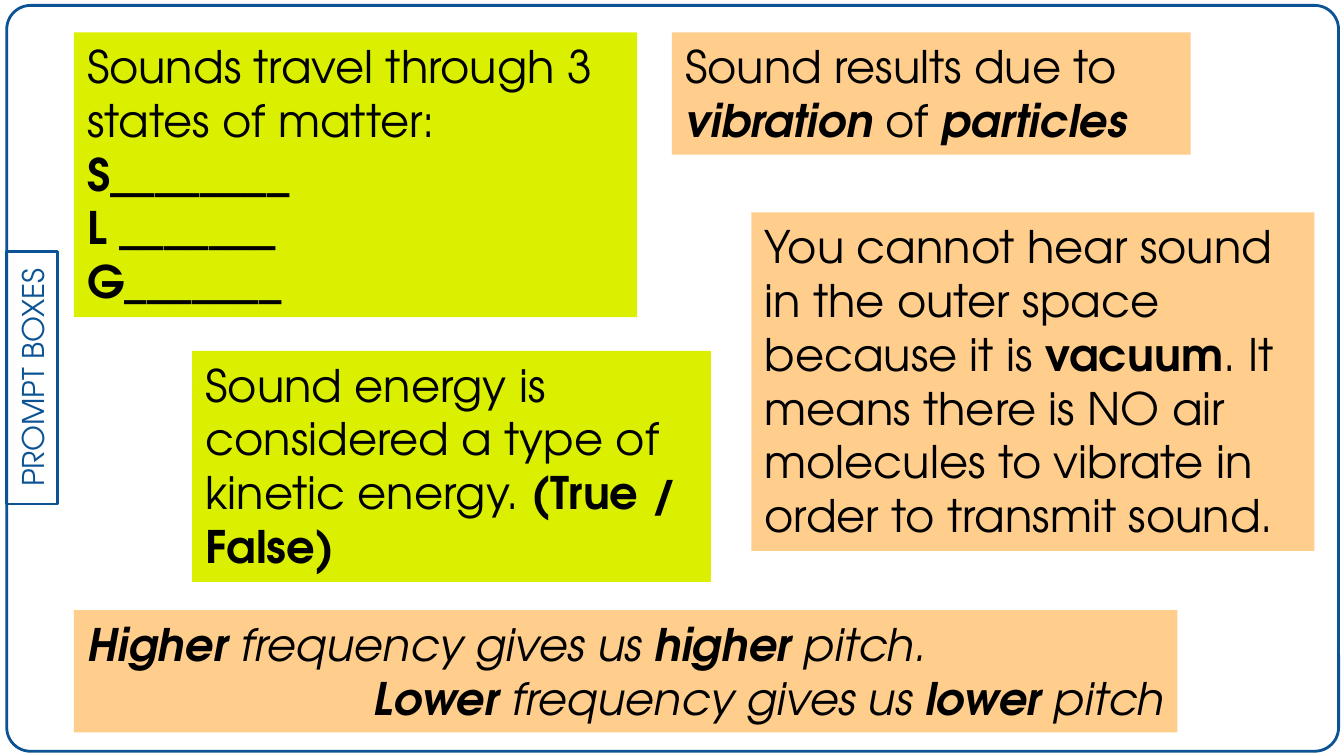
"""Build the slide of prompt boxes about sound."""
from pptx import Presentation
from pptx.dml.color import RGBColor
from pptx.enum.shapes import MSO_SHAPE
from pptx.enum.text import MSO_ANCHOR, MSO_AUTO_SIZE, PP_ALIGN
from pptx.util import Pt

RECT, ROUND = MSO_SHAPE.RECTANGLE, MSO_SHAPE.ROUNDED_RECTANGLE
LEFT, CENTER, RIGHT = PP_ALIGN.LEFT, PP_ALIGN.CENTER, PP_ALIGN.RIGHT
TOP, MIDDLE = MSO_ANCHOR.TOP, MSO_ANCHOR.MIDDLE
GROW = MSO_AUTO_SIZE.SHAPE_TO_FIT_TEXT

FONT = "TeX Gyre Adventor"
BLUE, LIME, PEACH, BLACK = "0B5394", "DBF000", "FFCD8C", "000000"

FRAME = (3.6, 2.9, 713.5, 399.6)
TAB = (-50.4, 188.6, 135.4, 27.4)
TAB_TEXT = [(CENTER, [("PROMPT BOXES", "")])]

BOXES = [
    ((39.6, 17.3, 301.7, 152.6), LIME, [
        (LEFT, [("Sounds travel through 3 states of matter:", "")]),
        (LEFT, [("S________", "b")]),
        (LEFT, [("L _______", "b")]),
        (LEFT, [("G_______", "b")]),
    ]),
    ((360, 17.3, 277.9, 65.5), PEACH, [
        (LEFT, [("Sound results due to ", ""), ("vibration", "bi"),
                (" of ", ""), ("particles", "bi")]),
    ]),
    ((103, 187.9, 277.9, 123.8), LIME, [
        (LEFT, [("Sound energy is considered a type of kinetic energy. ", ""),
                ("(True / False)", "b")]),
    ]),
    ((402.5, 113.8, 301.7, 181.4), PEACH, [
        (LEFT, [("You cannot hear sound in the outer space because it is ", ""),
                ("vacuum", "b"),
                (". It means there is NO air molecules to vibrate "
                 "in order to transmit sound.", "")]),
    ]),
    ((39.6, 326.9, 591.1, 65.5), PEACH, [
        (LEFT, [("Higher", "bi"), (" frequency gives us ", "i"),
                ("higher", "bi"), (" pitch.", "i")]),
        (RIGHT, [("Lower", "bi"), (" frequency gives us ", "i"),
                 ("lower", "bi"), (" pitch", "i")]),
    ]),
]


def rgb(color):
    return RGBColor.from_string(color)


def add_box(s, kind, box, fill=None, line=None):
    sp = s.shapes.add_shape(kind, *map(Pt, box))
    sp.shadow.inherit = False
    if fill:
        sp.fill.solid()
        sp.fill.fore_color.rgb = rgb(fill)
    else:
        sp.fill.background()
    if line:
        sp.line.color.rgb = rgb(line)
        sp.line.width = Pt(1.5)
    else:
        sp.line.fill.background()
    return sp


def add_text(sp, paragraphs, size, color, anchor):
    tf = sp.text_frame
    tf.word_wrap = True
    tf.vertical_anchor = anchor
    for i, (align, runs) in enumerate(paragraphs):
        p = tf.add_paragraph() if i else tf.paragraphs[0]
        p.alignment = align
        for text, style in runs:
            r = p.add_run()
            r.text = text
            r.font.name = FONT
            r.font.size = Pt(size)
            r.font.color.rgb = rgb(color)
            r.font.bold = "b" in style
            r.font.italic = "i" in style
    return tf


def main():
    prs = Presentation()
    prs.slide_width, prs.slide_height = Pt(720), Pt(405)
    s = prs.slides.add_slide(prs.slide_layouts[6])

    frame = add_box(s, ROUND, FRAME, line=BLUE)
    frame.adjustments[0] = 0.032

    tab = add_box(s, RECT, TAB, line=BLUE)
    tab.rotation = 270
    tf = add_text(tab, TAB_TEXT, 16, BLUE, MIDDLE)
    tf.margin_left = tf.margin_right = tf.margin_top = tf.margin_bottom = Pt(7.2)

    for box, fill, paragraphs in BOXES:
        sp = add_box(s, RECT, box, fill=fill)
        add_text(sp, paragraphs, 24, BLACK, TOP).auto_size = GROW

    prs.save("out.pptx")


if __name__ == "__main__":
    main()
